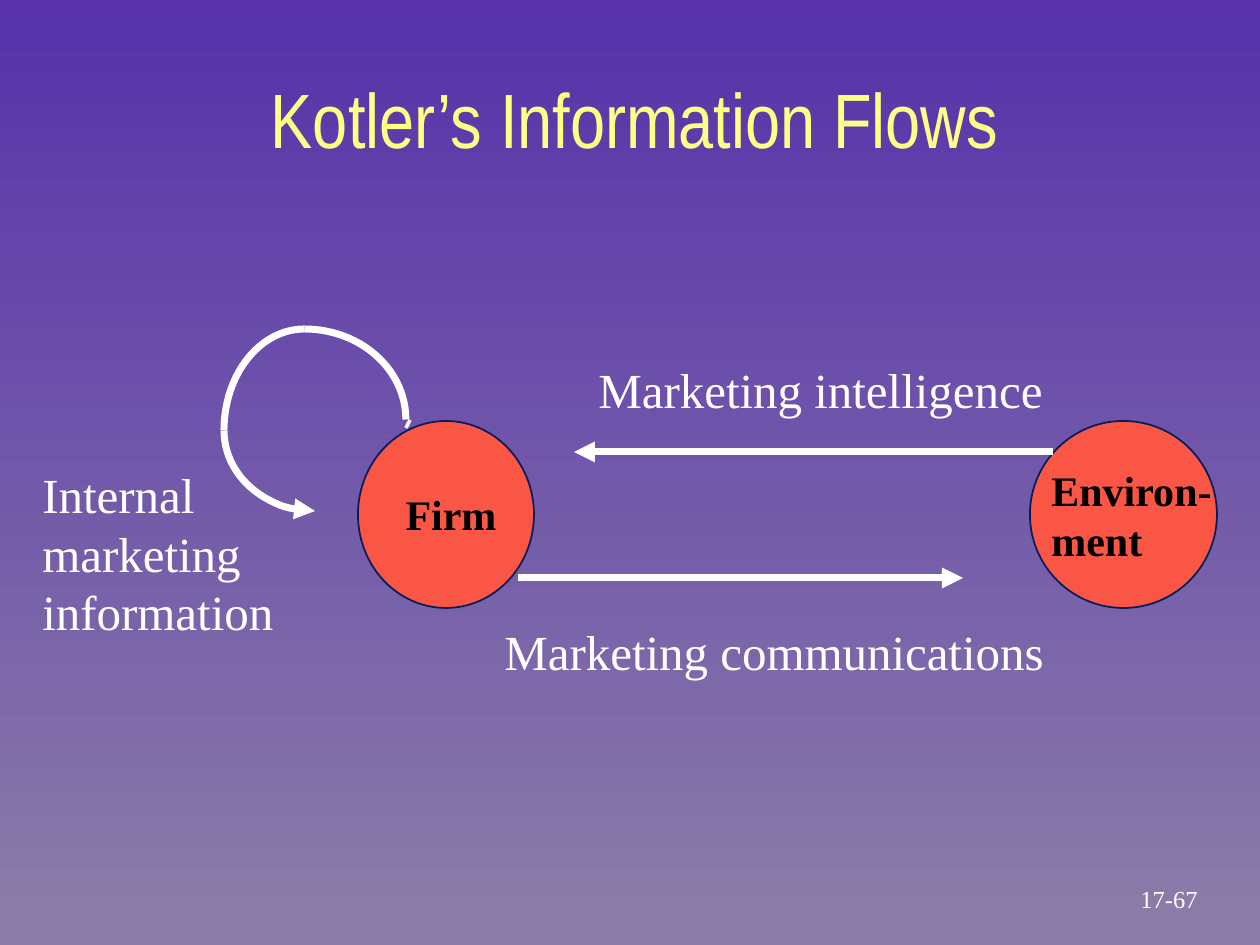
"""Build the slide on Kotler's information flows between a firm and its environment."""
from lxml.etree import SubElement
from pptx import Presentation
from pptx.dml.color import RGBColor
from pptx.enum.shapes import MSO_CONNECTOR, MSO_SHAPE
from pptx.enum.text import MSO_ANCHOR, PP_ALIGN
from pptx.oxml.ns import qn
from pptx.util import Emu, Pt

WHITE = RGBColor(0xFF, 0xFF, 0xFF)
BLACK = RGBColor(0, 0, 0)
YELLOW = RGBColor(0xFF, 0xFF, 0x85)
CORAL = RGBColor(0xF9, 0x56, 0x45)
NAVY = RGBColor(0x08, 0x1D, 0x58)
VIOLET = RGBColor(0x57, 0x32, 0xAA)
MAUVE = RGBColor(0x8B, 0x7D, 0xA9)
SERIF = "Times New Roman"
NARROW = "Arial Narrow"


def px(length):
    return Emu(round(length * 914400 / 126))


class FlowSlide:
    def __init__(self, presentation):
        self.slide = presentation.slides.add_slide(presentation.slide_layouts[6])
        self.shapes = self.slide.shapes

    def background(self, top, bottom):
        fill = self.slide.background.fill
        fill.gradient()
        fill.gradient_angle = 270
        for stop, color in zip(fill.gradient_stops, (top, bottom)):
            stop.color.rgb = color

    def stroke(self, shape, color, width, arrow=None):
        shape.line.color.rgb = color
        shape.line.width = Pt(width)
        if arrow:
            SubElement(shape.line._get_or_add_ln(), qn(f"a:{arrow}"), type="triangle")

    def circle(self, *box):
        party = self.shapes.add_shape(MSO_SHAPE.OVAL, *map(px, box))
        party.shadow.inherit = False
        party.fill.solid()
        party.fill.fore_color.rgb = CORAL
        self.stroke(party, NAVY, 1)

    def line(self, *ends, width=4, arrow=None):
        flow = self.shapes.add_connector(MSO_CONNECTOR.STRAIGHT, *map(px, ends))
        self.stroke(flow, WHITE, width, arrow)
        SubElement(flow._element.spPr, qn("a:effectLst"))

    def quarter_arc(self, *box, start, arrow=None):
        loop = self.shapes.add_shape(MSO_SHAPE.ARC, *map(px, box))
        loop.shadow.inherit = False
        loop.fill.background()
        for index, angle in enumerate((start, (start + 90) % 360)):
            loop.adjustments[index] = angle * 0.6
        self.stroke(loop, WHITE, 4, arrow)

    def text(self, words, *box, size=28, color=WHITE, font=SERIF, bold=False,
             align=PP_ALIGN.LEFT, anchor=MSO_ANCHOR.TOP):
        frame = self.shapes.add_textbox(*map(px, box)).text_frame
        frame.word_wrap = True
        frame.vertical_anchor = anchor
        frame.text = words
        for paragraph in frame.paragraphs:
            paragraph.alignment = align
            paragraph.font.size = Pt(size)
            paragraph.font.name = font
            paragraph.font.bold = bold
            paragraph.font.color.rgb = color


def main():
    presentation = Presentation()
    presentation.slide_width, presentation.slide_height = px(1260), px(945)
    flows = FlowSlide(presentation)
    flows.background(VIOLET, MAUVE)

    flows.circle(358, 421, 176, 187)
    flows.circle(1030, 421, 187, 187)
    flows.line(1053, 452, 574, 452, arrow="tailEnd")
    flows.line(518, 578, 963, 578, arrow="tailEnd")

    party = dict(size=24, color=BLACK, bold=True)
    flows.text("Firm", 366, 482, 170, 63, align=PP_ALIGN.CENTER, **party)
    flows.text("Environ-\nment", 1039, 458, 200, 113, **party)
    flows.text("Marketing intelligence", 586, 353, 484, 71)
    flows.text("Marketing communications", 492, 615, 580, 71)

    flows.quarter_arc(224, 350, 182, 161, start=90, arrow="headEnd")
    flows.quarter_arc(203, 329, 203, 181, start=270)
    flows.quarter_arc(224, 329, 161, 203, start=180)
    flows.line(410, 420, 406, 428, width=2)

    flows.text("Internal\nmarketing\ninformation", 30, 458, 264, 189)
    flows.text("Kotler’s Information Flows", 41, 28, 1188, 142, size=44, color=YELLOW,
               font=NARROW, align=PP_ALIGN.CENTER, anchor=MSO_ANCHOR.BOTTOM)
    flows.text("17-67", 1089, 877, 160, 43, size=14,
               align=PP_ALIGN.CENTER, anchor=MSO_ANCHOR.MIDDLE)
    presentation.save("out.pptx")


if __name__ == "__main__":
    main()
